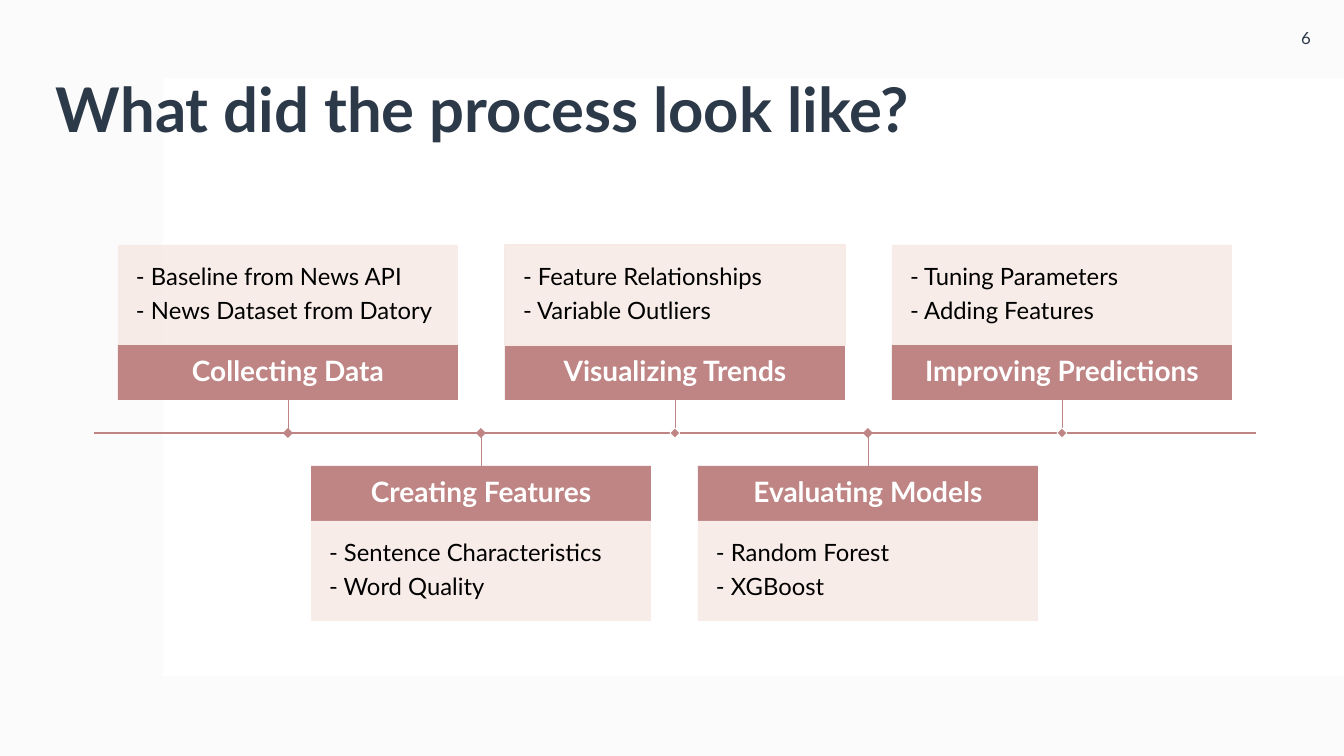
from lxml.etree import SubElement
from pptx import Presentation
from pptx.dml.color import RGBColor
from pptx.enum.shapes import MSO_CONNECTOR as Connector, MSO_SHAPE as Shape
from pptx.enum.text import MSO_ANCHOR as Anchor, MSO_AUTO_SIZE as AutoSize, PP_ALIGN as Align
from pptx.oxml.ns import qn
from pptx.util import Pt

PX = 914400 / 100.8
ROSE, BLUSH, INK, WHITE = "BF8484", "F7EAE5", "2C3948", "FFFFFF"


def px(length):
    return round(length * PX)


def paint(color_format, color):
    color_format.rgb = RGBColor.from_string(color)


class Deck:
    font = "Lato"

    def __init__(self, width, height):
        self.file = Presentation()
        self.file.slide_width, self.file.slide_height = px(width), px(height)
        self.slide = self.file.slides.add_slide(self.file.slide_layouts[5])
        self.shapes = self.slide.shapes

    def shape(self, box, color, opacity=100, outline=None, weight=1, kind=Shape.RECTANGLE):
        shape = self.shapes.add_shape(kind, *map(px, box))
        shape.shadow.inherit = False
        shape.fill.solid()
        paint(shape.fill.fore_color, color)
        if opacity < 100:
            tint = shape.fill._xPr.find(qn("a:solidFill"))[0]
            SubElement(tint, qn("a:alpha"), val=str(opacity * 1000))
        if outline:
            paint(shape.line.color, outline)
            shape.line.width = Pt(weight)
        else:
            shape.line.fill.background()
        return shape

    def set_text(self, shape, lines, size, color, bold=False, align=Align.LEFT,
                 inset=10, spacing=0.9, gap=0):
        frame = shape.text_frame
        frame.text = "\n".join(lines)
        frame.word_wrap = True
        frame.auto_size = AutoSize.NONE
        frame.vertical_anchor = Anchor.MIDDLE
        frame.margin_left = frame.margin_right = px(inset)
        frame.margin_top = frame.margin_bottom = px(inset)
        for paragraph in frame.paragraphs:
            paragraph.alignment = align
            paragraph.line_spacing = spacing
            paragraph.space_after = Pt(gap)
            font = paragraph.font
            font.name, font.size, font.bold = self.font, Pt(size), bold
            paint(font.color, color)

    def title(self, text, box):
        title = self.shapes.title
        title.left, title.top, title.width, title.height = map(px, box)
        self.set_text(title, [text], 44, INK, bold=True)
        # Bring the title in front of the backdrop
        self.shapes._spTree.append(title._element)

    def label(self, text, box):
        label = self.shapes.add_textbox(*map(px, box))
        self.set_text(label, [text], 12, INK, align=Align.CENTER, spacing=1)

    def line(self, start, end, weight):
        line = self.shapes.add_connector(Connector.STRAIGHT, *map(px, start + end))
        paint(line.line.color, ROSE)
        line.line.width = Pt(weight)
        SubElement(line._element.spPr, qn("a:effectLst"))
        return line

    def step(self, left, above, heading, details, body_outline, marker_outline):
        header_top, body_top = (345, 245) if above else (466, 521)
        middle = left + STEP_WIDTH // 2

        header = self.shape((left, header_top, STEP_WIDTH, 55), ROSE)
        self.set_text(header, [heading], 20, WHITE, bold=True, align=Align.CENTER, inset=11)
        body = self.shape((left, body_top, STEP_WIDTH, 100), BLUSH, 90, body_outline)
        self.set_text(body, details, 17, "000000", inset=18, gap=6)

        edge = header_top + 55 if above else header_top
        stem = self.line((middle, edge), (middle, AXIS), 0.5)
        stem.begin_connect(header, 2 if above else 0)
        self.shape((middle - 5, AXIS - 5, 10, 10), ROSE, outline=marker_outline,
                   weight=0.5, kind=Shape.DIAMOND)


AXIS, STEP_WIDTH = 433, 340
# Heading, details, body outline, marker outline
STEPS = [
    ("Collecting Data", ["- Baseline from News API", "- News Dataset from Datory"], None, None),
    ("Creating Features", ["- Sentence Characteristics", "- Word Quality"], None, None),
    ("Visualizing Trends", ["- Feature Relationships", "- Variable Outliers"], BLUSH, WHITE),
    ("Evaluating Models", ["- Random Forest", "- XGBoost"], None, None),
    ("Improving Predictions", ["- Tuning Parameters", "- Adding Features"], None, WHITE),
]


def main():
    deck = Deck(1344, 756)

    # Backdrop
    deck.shape((0, 0, 1344, 756), "F4F4F4", 35)
    deck.shape((163, 78, 1181, 598), WHITE)

    # Title and page number
    deck.title("What did the process look like?", (46, 40, 1162, 146))
    deck.label("6", (1268, 0, 76, 76))

    # Timeline, with steps alternating above and below
    deck.line((94, AXIS), (1256, AXIS), 1)
    for index, step in enumerate(STEPS):
        deck.step(118 + 387 * index // 2, index % 2 == 0, *step)

    deck.file.save("out.pptx")


if __name__ == "__main__":
    main()
